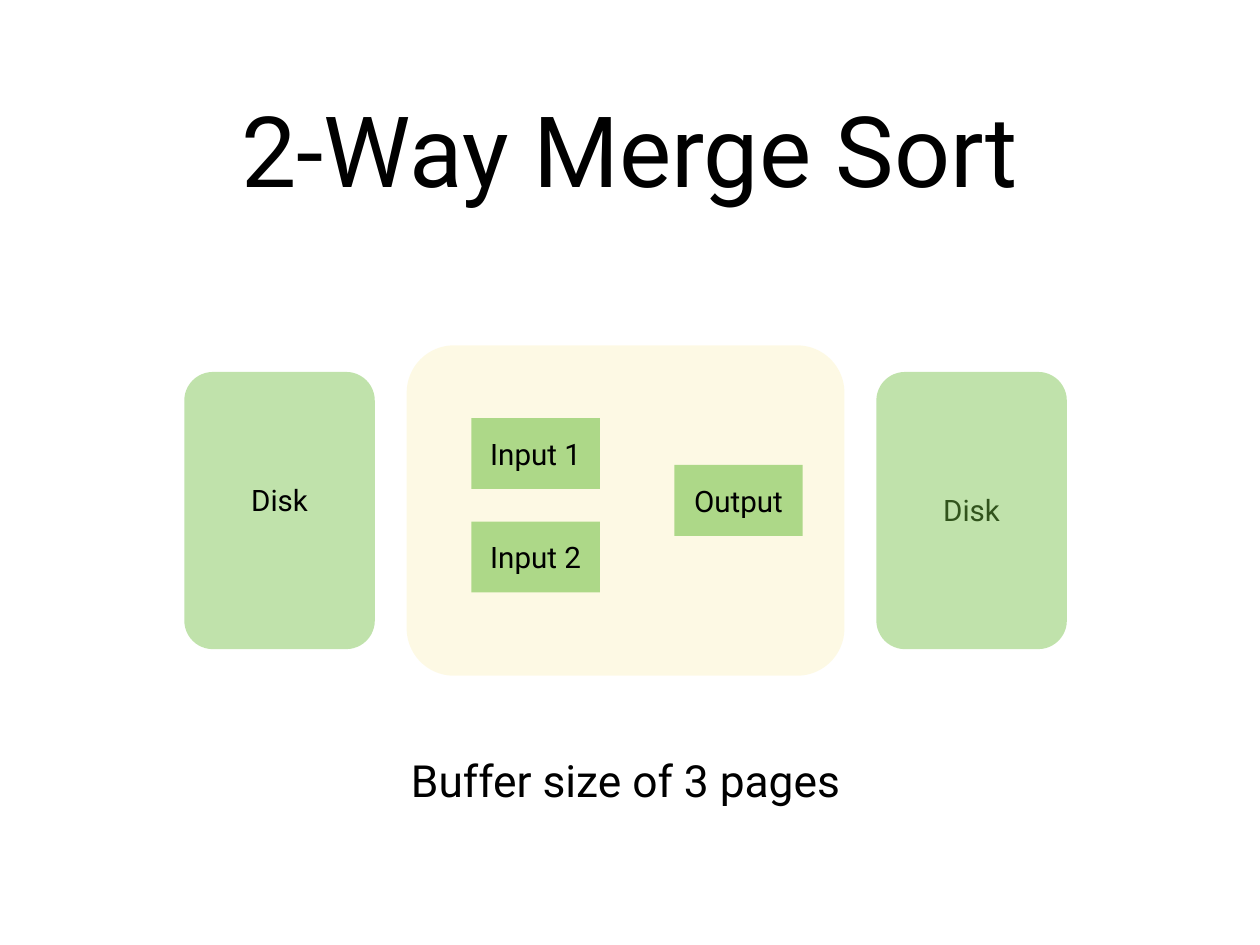
from pptx import Presentation, util as u
from pptx.dml.color import RGBColor
from pptx.enum import shapes as sh, text as tx
from pptx.oxml.ns import qn
from lxml import etree

# Grid: one step is a tenth of an inch; a box is (left, top, width, height)
STEP = u.Inches(0.1)
COLS, ROWS = 142.2, 106.7
GREEN, CREAM, BLACK = "70BF41", "F5D328", "000000"


def color(code):
    return RGBColor.from_string(code)


def steps(*vals):
    return [round(v * STEP) for v in vals]


def center(box):
    x, y, w, h = box
    return x + w / 2, y + h / 2


def block(slide, box, fill, alpha, round_by=None):
    kind = sh.MSO_SHAPE.ROUNDED_RECTANGLE if round_by else sh.MSO_SHAPE.RECTANGLE
    item = slide.shapes.add_shape(kind, *steps(*box))
    if round_by:
        item.adjustments[0] = round_by
    item.shadow.inherit = False
    item.line.fill.background()
    item.fill.solid()
    item.fill.fore_color.rgb = color(fill)
    tint = item.fill._xPr.find(".//" + qn("a:srgbClr"))
    etree.SubElement(tint, qn("a:alpha"), val=str(alpha * 1000))


def label(slide, mid, size, words, points, inset=0.6, wrap=False):
    """Place a text box of the given size around its middle point."""
    (x, y), (w, h) = mid, size
    item = slide.shapes.add_textbox(*steps(x - w / 2, y - h / 2, w, h))
    frame = item.text_frame
    frame.word_wrap = wrap
    frame.vertical_anchor = tx.MSO_ANCHOR.MIDDLE
    frame.auto_size = tx.MSO_AUTO_SIZE.NONE if wrap else tx.MSO_AUTO_SIZE.SHAPE_TO_FIT_TEXT
    frame.margin_left = frame.margin_right = round(inset * STEP)
    frame.margin_top = frame.margin_bottom = round(inset * STEP)
    para = frame.paragraphs[0]
    para.alignment = tx.PP_ALIGN.CENTER
    run = para.add_run()
    run.text = words
    run.font.size = u.Pt(points)
    run.font.name = "Roboto"
    run.font.color.rgb = color(BLACK)


def title(slide, box):
    label(slide, center(box), box[2:], "2-Way Merge Sort", 80, inset=0, wrap=True)


def disk(slide, box, lift, veiled=False):
    """A disk; a veiled one covers its label with its tint."""
    x, y = center(box)
    parts = [
        lambda: block(slide, box, GREEN, 44, 0.15),
        lambda: label(slide, (x, y - lift), (7.7, 5.1), "Disk", 24),
    ]
    for draw in reversed(parts) if veiled else parts:
        draw()


def buffer(slide, box):
    x, y, w, h = box
    block(slide, box, CREAM, 12, 0.143)
    # Pages: offsets from the buffer's corner
    pages = [("Input 1", 7.3, 8.2), ("Input 2", 7.3, 19.9), ("Output", 30.2, 13.5)]
    for words, dx, dy in pages:
        page = (x + dx, y + dy, 14.5, 8)
        block(slide, page, GREEN, 56)
        label(slide, center(page), (11.6, 5.1), words, 24)


def diagram(slide, box):
    """Disk, buffer, disk in a row, all centred on one line."""
    x, y, w, h = box
    side, tall, gap = 21.5, 31.3, 3.6
    top = y + (h - tall) / 2
    core = (x + side + gap, y, w - 2 * (side + gap), h)
    disk(slide, (x, top, side, tall), 1.2)
    buffer(slide, core)
    disk(slide, (x + w - side, top, side, tall), 0.1, veiled=True)
    # Caption below the buffer
    label(slide, (center(core)[0], y + h + 11.8), (50.1, 7.1),
          "Buffer size of 3 pages", 36)


def main():
    deck = Presentation()
    deck.slide_width, deck.slide_height = steps(COLS, ROWS)
    slide = deck.slides.add_slide(deck.slide_layouts[6])
    title(slide, (10.4, 4.9, COLS - 2 * 10.4, 23.6))
    diagram(slide, (20.8, 39, 99.6, 37.3))
    deck.save("out.pptx")


if __name__ == "__main__":
    main()
